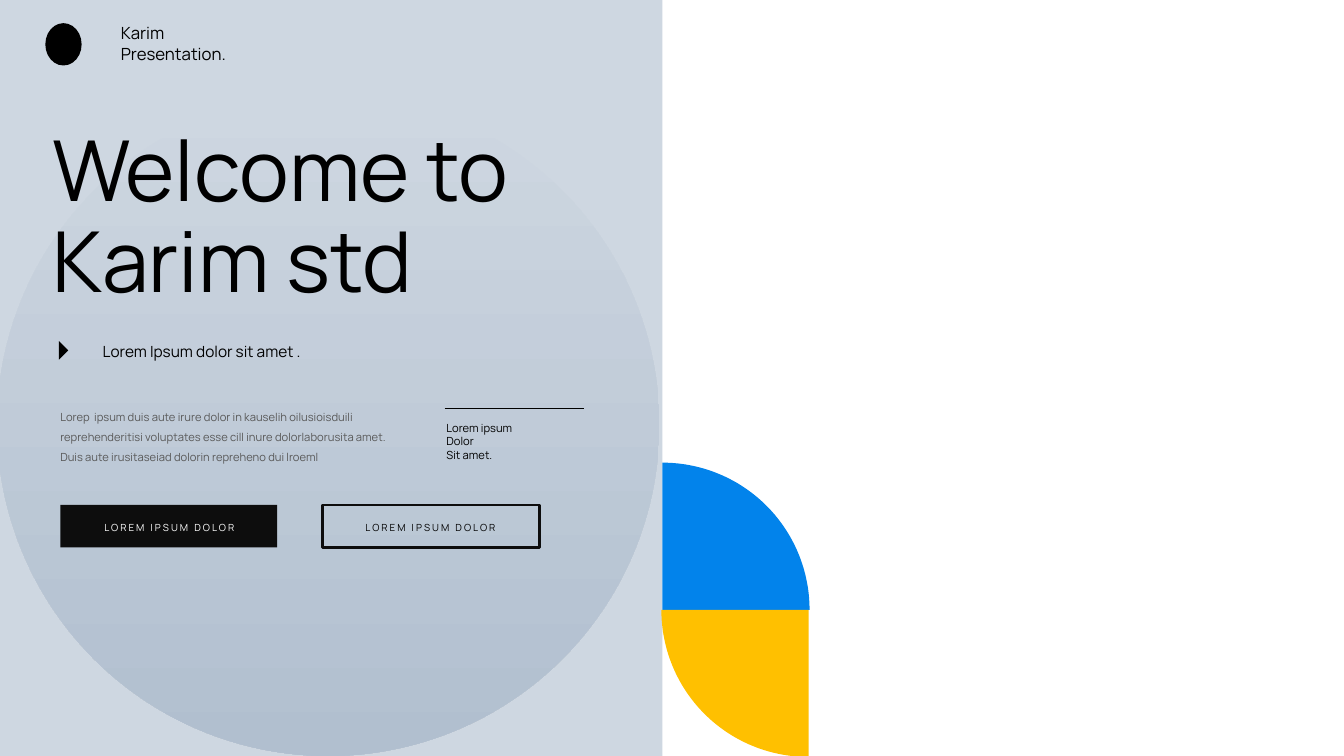
import math
from dataclasses import dataclass
from typing import Optional

from lxml import etree
from pptx import Presentation
from pptx.dml.color import RGBColor
from pptx.enum.shapes import MSO_CONNECTOR, MSO_SHAPE
from pptx.enum.text import MSO_AUTO_SIZE, PP_ALIGN
from pptx.oxml.ns import qn
from pptx.util import Inches, Pt

RECTANGLE = MSO_SHAPE.RECTANGLE
OVAL = MSO_SHAPE.OVAL
RIGHT_TRIANGLE = MSO_SHAPE.RIGHT_TRIANGLE
STRAIGHT = MSO_CONNECTOR.STRAIGHT
LEFT = PP_ALIGN.LEFT
CENTER = PP_ALIGN.CENTER
GROW = MSO_AUTO_SIZE.SHAPE_TO_FIT_TEXT

FONT = "Manrope"
BLACK = RGBColor(0x00, 0x00, 0x00)
INK = RGBColor(0x0D, 0x0D, 0x0D)
WHITE = RGBColor(0xFF, 0xFF, 0xFF)
GREY = RGBColor(0x59, 0x59, 0x59)
MIST = RGBColor(0xCE, 0xD7, 0xE1)
STEEL = RGBColor(0xB1, 0xBF, 0xCF)
BLUE = RGBColor(0x02, 0x83, 0xEB)
AMBER = RGBColor(0xFF, 0xC0, 0x00)

ARC_STEPS = 60


@dataclass(frozen=True)
class Box:
    left: float
    top: float
    width: float
    height: float

    def lengths(self) -> tuple:
        return tuple(Inches(v) for v in (self.left, self.top, self.width, self.height))


@dataclass(frozen=True)
class Petal:
    corner_x: float
    corner_y: float
    radius: float
    start_angle: int
    color: RGBColor


@dataclass(frozen=True)
class Button:
    left: float
    label_left: float
    fill: Optional[RGBColor]
    line: Optional[RGBColor]
    label_color: RGBColor


PETALS = (
    Petal(6.57, 6.05, 1.46, -90, BLUE),
    Petal(8.02, 6.05, 1.46, 90, AMBER),
)
BUTTONS = (
    Button(0.6, 0.9, INK, None, WHITE),
    Button(3.2, 3.49, None, INK, BLACK),
)


def add_text(slide, box: Box, lines: tuple, *, size: float, color: RGBColor = BLACK,
             align=LEFT, line_spacing: float = 1.0, tracking: float = 0) -> None:
    frame = slide.shapes.add_textbox(*box.lengths()).text_frame
    frame.word_wrap = True
    frame.auto_size = GROW
    for index, line in enumerate(lines):
        paragraph = frame.paragraphs[0] if index == 0 else frame.add_paragraph()
        paragraph.alignment = align
        paragraph.line_spacing = line_spacing
        run = paragraph.add_run()
        run.text = line
        run.font.name = FONT
        run.font.size = Pt(size)
        run.font.color.rgb = color
        if tracking:
            run.font._element.set("spc", str(round(tracking * 100)))


def paint(shape, fill: Optional[RGBColor], line: Optional[RGBColor] = None) -> None:
    shape.shadow.inherit = False
    if fill is None:
        shape.fill.background()
    else:
        shape.fill.solid()
        shape.fill.fore_color.rgb = fill
    if line is None:
        shape.line.fill.background()
    else:
        shape.line.color.rgb = line
        shape.line.width = Pt(2)


def add_block(slide, kind, box: Box, fill: Optional[RGBColor],
              line: Optional[RGBColor] = None, rotation: float = 0):
    shape = slide.shapes.add_shape(kind, *box.lengths())
    shape.rotation = rotation
    paint(shape, fill, line)
    return shape


def add_backdrop(slide) -> None:
    add_block(slide, RECTANGLE, Box(0, 0, 6.57, 7.5), MIST)
    disc = add_block(slide, OVAL, Box(-0.03, 0.93, 6.57, 6.57), MIST)
    disc.fill.gradient()
    disc.fill.gradient_angle = 270
    for stop, position, color in zip(disc.fill.gradient_stops, (0, 1), (MIST, STEEL)):
        stop.position = position
        stop.color.rgb = color


def add_petal(slide, petal: Petal) -> None:
    angles = [math.radians(petal.start_angle + 90 * i / ARC_STEPS)
              for i in range(ARC_STEPS + 1)]
    arc = [(Inches(petal.corner_x + petal.radius * math.cos(a)),
            Inches(petal.corner_y + petal.radius * math.sin(a))) for a in angles]
    builder = slide.shapes.build_freeform(Inches(petal.corner_x), Inches(petal.corner_y))
    builder.add_line_segments(arc, close=True)
    paint(builder.convert_to_shape(), petal.color)


def add_rule(slide, start_x: float, end_x: float, y: float) -> None:
    rule = slide.shapes.add_connector(
        STRAIGHT, Inches(start_x), Inches(y), Inches(end_x), Inches(y))
    rule.line.color.rgb = BLACK
    rule.line.width = Pt(0.5)
    etree.SubElement(rule._element.spPr, qn("a:effectLst"))


def add_button(slide, button: Button) -> None:
    add_block(slide, RECTANGLE, Box(button.left, 5.01, 2.15, 0.42), button.fill, button.line)
    add_text(slide, Box(button.label_left, 5.13, 1.56, 0.22), ("LOREM IPSUM DOLOR",),
             size=7, color=button.label_color, align=CENTER, tracking=1.5)


def main() -> None:
    presentation = Presentation()
    presentation.slide_width = Inches(13.33)
    presentation.slide_height = Inches(7.5)
    slide = presentation.slides.add_slide(presentation.slide_layouts[6])

    add_backdrop(slide)
    for petal in PETALS:
        add_petal(slide, petal)

    add_block(slide, OVAL, Box(0.45, 0.23, 0.36, 0.42), BLACK)
    add_text(slide, Box(1.1, 0.18, 1.31, 0.5), ("Karim", "Presentation."), size=12)
    add_text(slide, Box(0.42, 1.23, 5.33, 1.93), ("Welcome to", "Karim std"),
             size=60, line_spacing=0.9)
    add_block(slide, RIGHT_TRIANGLE, Box(0.52, 3.41, 0.13, 0.13), BLACK, rotation=225)
    add_text(slide, Box(0.92, 3.34, 2.5, 0.29), ("Lorem Ipsum dolor sit amet .",), size=11)
    add_text(slide, Box(0.5, 3.95, 3.56, 0.69),
             ("Lorep  ipsum duis aute irure dolor in kauselih oilusioisduili "
              "reprehenderitisi voluptates esse cill inure dolorlaborusita amet. "
              "Duis aute irusitaseiad dolorin repreheno dui lroeml",),
             size=8, color=GREY, line_spacing=1.5)
    add_rule(slide, 4.41, 5.79, 4.05)
    add_text(slide, Box(4.33, 4.13, 1.03, 0.5), ("Lorem ipsum", "Dolor", "Sit amet."), size=8)
    for button in BUTTONS:
        add_button(slide, button)

    presentation.save("out.pptx")


if __name__ == "__main__":
    main()
